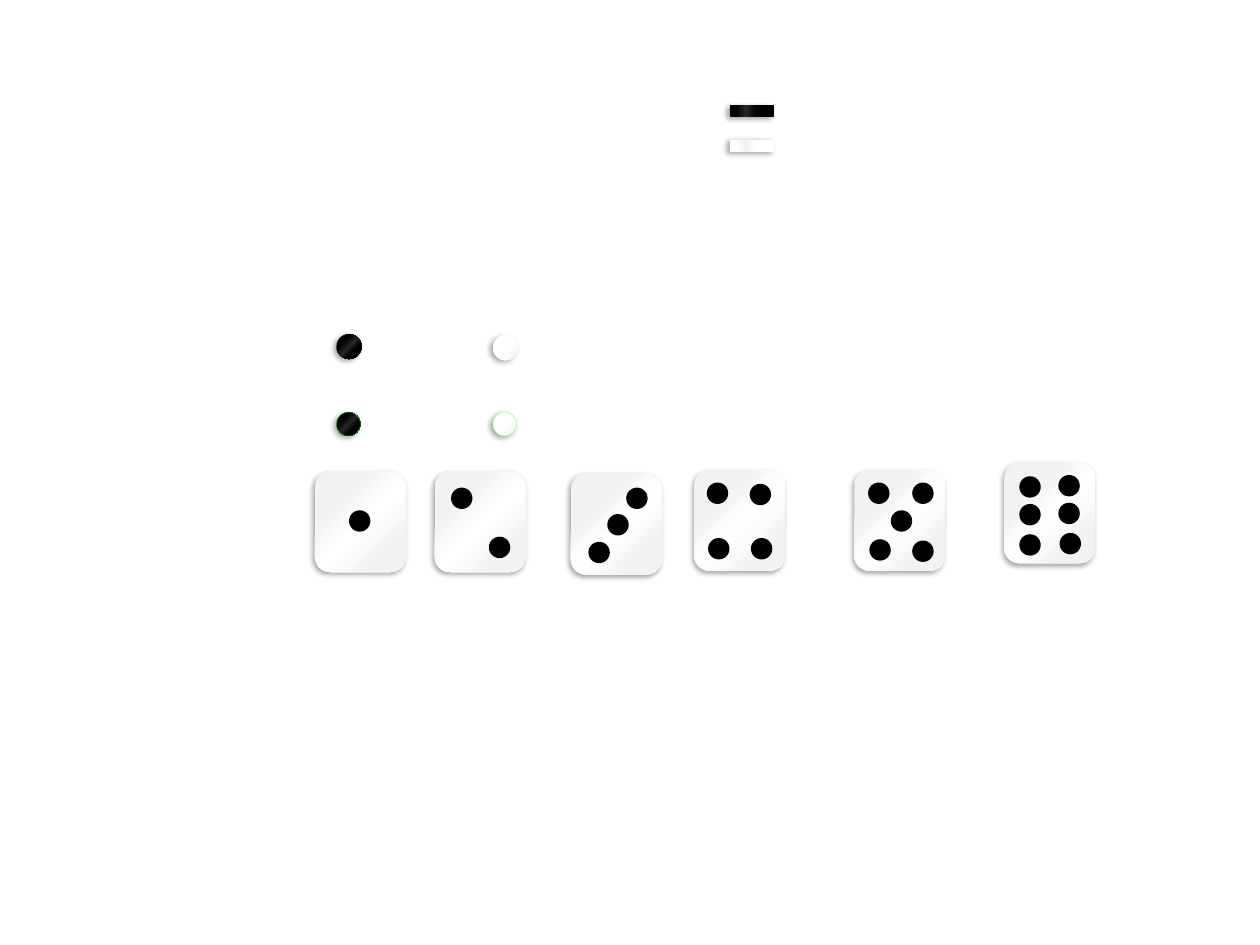
from lxml.etree import SubElement
from pptx import Presentation
from pptx.dml.color import RGBColor
from pptx.enum.shapes import MSO_SHAPE
from pptx.oxml.ns import qn
from pptx.util import Emu, Pt

SCALE = 9144  # EMU per px, 100 px to the inch
BLACK = RGBColor(0x00, 0x00, 0x00)
COAL = RGBColor(0x26, 0x26, 0x26)
WHITE = RGBColor(0xFF, 0xFF, 0xFF)
PEARL = RGBColor(0xF2, 0xF2, 0xF2)
GREEN = RGBColor(0x3E, 0xFF, 0x2B)

# Gradient stops: percent, colour
DARK = [(30, BLACK), (49, COAL), (72, BLACK)]
LIGHT = [(0, PEARL), (47, WHITE), (72, WHITE)]
IVORY = [(18, PEARL), (46, WHITE), (73, PEARL)]
DARK_BAR = [(15, BLACK), (38, COAL), (60, BLACK)]
LIGHT_BAR = [(15, WHITE), (38, PEARL), (60, WHITE)]

# Dice: left, top, pip offsets inside the die
DICE = [
    (797, 367, [(12, 11), (12, 57), (12, 33), (43, 10), (44, 56), (43, 32)]),
    (678, 373, [(11, 10), (12, 55), (46, 10), (46, 56), (29, 32)]),
    (551, 373, [(10, 10), (11, 54), (44, 11), (45, 54)]),
    (453, 376, [(44, 11), (14, 54), (29, 32)]),
    (345, 374, [(13, 13), (43, 52)]),
    (250, 374, [(27, 31)]),
]


def node(parent, tag, **attrs):
    return SubElement(parent, qn(tag), {k: str(v) for k, v in attrs.items()})


class Board:
    pip_size = 17
    die_size = (72, 80)
    bar_size = (35, 10)

    def __init__(self, slide):
        self.slide = slide

    def shape(self, kind, x, y, w, h, line=None):
        box = [Emu(n * SCALE) for n in (x, y, w, h)]
        item = self.slide.shapes.add_shape(kind, *box)
        item.shadow.inherit = False
        if line is None:
            item.line.fill.background()
        else:
            item.line.color.rgb = line
            item.line.width = Pt(0.1)
        return item

    def shade(self, item, stops, radial=True):
        item.fill.gradient()
        grad = item.fill._fill._gradFill
        for child in list(grad):
            grad.remove(child)
        group = node(grad, "a:gsLst")
        for pos, color in stops:
            stop = node(group, "a:gs", pos=pos * 1000)
            node(stop, "a:srgbClr", val=color)
        if radial:
            focus = node(grad, "a:path", path="circle")
            node(focus, "a:fillToRect", l=100000, t=100000)
        else:
            node(grad, "a:lin", ang=0, scaled=0)

    def shadow(self, item, angle):
        effects = item._element.spPr.find(qn("a:effectLst"))
        outer = node(effects, "a:outerShdw", blurRad=Pt(3.1), dist=Pt(1.8),
                     dir=angle * 60000, algn="ctr", rotWithShape=0)
        color = node(outer, "a:srgbClr", val=BLACK)
        node(color, "a:alpha", val=35000)

    def disc(self, x, y, size, stops, line=None):
        item = self.shape(MSO_SHAPE.OVAL, x, y, size, size, line)
        self.shade(item, stops)
        self.shadow(item, 139)

    def bar(self, x, y, stops, angle):
        item = self.shape(MSO_SHAPE.ROUNDED_RECTANGLE, x, y, *self.bar_size)
        self.shade(item, stops, radial=False)
        self.shadow(item, angle)

    def pip(self, x, y):
        item = self.shape(MSO_SHAPE.OVAL, x, y, self.pip_size, self.pip_size)
        item.fill.solid()
        item.fill.fore_color.rgb = BLACK

    def die(self, x, y, pips):
        item = self.shape(MSO_SHAPE.ROUNDED_RECTANGLE, x, y, *self.die_size)
        self.shade(item, IVORY)
        self.shadow(item, 123)
        for dx, dy in pips:
            self.pip(x + dx, y + dy)


def main():
    deck = Presentation()
    deck.slide_width = Emu(1000 * SCALE)
    deck.slide_height = Emu(750 * SCALE)
    board = Board(deck.slides.add_slide(deck.slide_layouts[6]))

    # Plain checkers
    board.disc(267, 265, 20, DARK)
    board.disc(391, 266, 20, LIGHT)

    # Dice, six to one
    for x, y, pips in DICE:
        board.die(x, y, pips)

    # Checkers seen from the side
    board.bar(579, 83, DARK_BAR, 139)
    board.bar(579, 111, LIGHT_BAR, 149)

    # Checkers with a green rim
    for x, stops in ((267, DARK), (391, LIGHT)):
        board.disc(x, 327, 19, stops, GREEN)

    deck.save("out.pptx")


if __name__ == "__main__":
    main()
